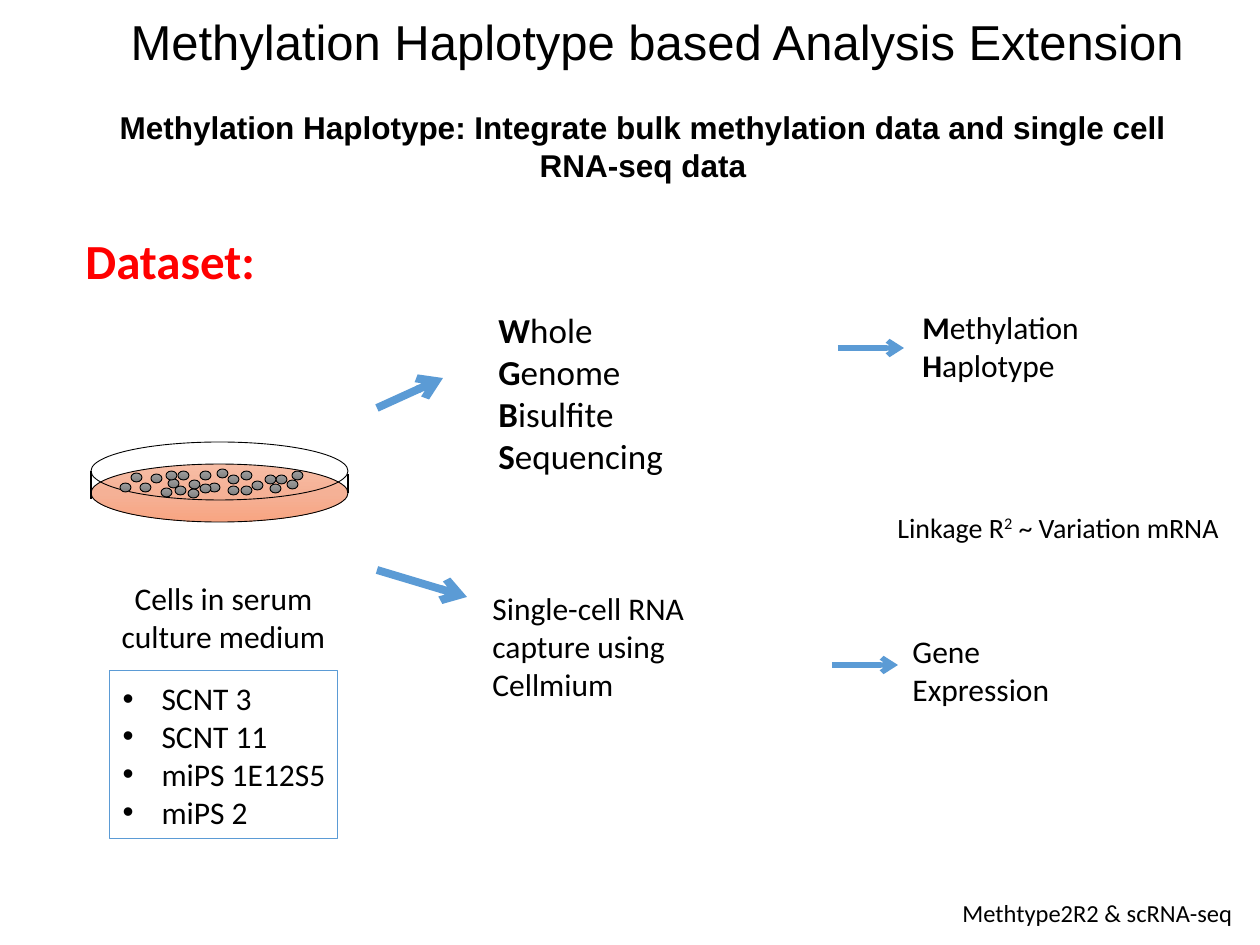
from copy import deepcopy

from lxml import etree
from pptx import Presentation
from pptx.dml.color import RGBColor
from pptx.enum.shapes import MSO_CONNECTOR, MSO_SHAPE
from pptx.enum.text import MSO_ANCHOR, MSO_AUTO_SIZE, PP_ALIGN
from pptx.oxml.ns import qn
from pptx.util import Emu, Pt

STRAIGHT = MSO_CONNECTOR.STRAIGHT
OVAL, RECTANGLE = MSO_SHAPE.OVAL, MSO_SHAPE.RECTANGLE
LEFT, CENTER = PP_ALIGN.LEFT, PP_ALIGN.CENTER
TOP = MSO_ANCHOR.TOP
GROW = MSO_AUTO_SIZE.SHAPE_TO_FIT_TEXT

EMU_PER_PX = 914400 / 126
COLORS = {"text": "000000", "accent": "5B9BD5", "heading": "FF0000"}
GRADIENTS = {
    "medium": ("F7BDA5", "F5B196", "F8A582"),
    "cell": ("9D9D9D", "909090", "7C7C7C"),
}
CELL_SIZE = (11, 9)
CELL_POSITIONS = [
    (151, 474), (178, 471), (120, 483), (140, 483), (161, 488),
    (189, 480), (168, 479), (200, 471), (228, 475), (209, 483),
    (228, 486), (217, 469), (276, 475), (265, 475), (252, 481),
    (241, 471), (287, 480), (241, 486), (188, 489), (131, 473),
    (270, 484), (166, 471), (175, 486), (200, 484), (292, 471),
]
SAMPLES = ["SCNT 3", "SCNT 11", "miPS 1E12S5", "miPS 2"]


def px(value):
    return Emu(round(value * EMU_PER_PX))


def rgb(name):
    return RGBColor.from_string(COLORS[name])


def place(shape, box):
    shape.left, shape.top, shape.width, shape.height = map(px, box)


def style_font(font, size, color="text", face="Calibri"):
    font.size, font.name = Pt(size), face
    font.color.rgb = rgb(color)


def add_outline(slide, kind, box, color="text", gradient=None):
    """Thin-lined shape, empty or with a vertical three-stop gradient."""
    shape = slide.shapes.add_shape(kind, *map(px, box))
    shape.shadow.inherit = False
    shape.line.color.rgb = rgb(color)
    shape.line.width = Pt(0.5)
    if gradient is None:
        shape.fill.background()
        return
    shape.fill.gradient()
    shape.fill.gradient_angle = 270
    stop_list = shape._element.spPr.find(qn("a:gradFill")).find(qn("a:gsLst"))
    stop_list.insert(1, deepcopy(stop_list[0]))
    stops = zip(shape.fill.gradient_stops, GRADIENTS[gradient], (0, 0.5, 1))
    for stop, color, position in stops:
        stop.color.rgb = RGBColor.from_string(color)
        stop.position = position


def add_line(slide, start, end, width, color="text", arrow=False):
    line = slide.shapes.add_connector(STRAIGHT, *map(px, start + end))
    line.line.color.rgb = rgb(color)
    line.line.width = Pt(width)
    if arrow:
        etree.SubElement(line.line._get_or_add_ln(), qn("a:tailEnd"), type="arrow")
    etree.SubElement(line._element.spPr, qn("a:effectLst"))


def add_text(slide, box, paragraphs, size, align=LEFT, wrap=True, bold=None, **font):
    """Text box; stars enclose bold letters, carets enclose superscripts."""
    frame = slide.shapes.add_textbox(*map(px, box)).text_frame
    frame.word_wrap, frame.auto_size = wrap, GROW
    for i, text in enumerate(paragraphs):
        paragraph = frame.paragraphs[0] if i == 0 else frame.add_paragraph()
        paragraph.alignment = align
        style_font(paragraph.font, size, **font)
        paragraph.font.bold = bold
        mark = "^" if "^" in text else "*"
        for j, part in enumerate(text.split(mark)):
            if not part:
                continue
            run = paragraph.add_run()
            run.text = part
            if j % 2 and mark == "*":
                run.font.bold = True
            elif j % 2:
                run.font._element.set("baseline", "30000")


def fill_title(slide, text, box):
    title = slide.shapes.title
    place(title, box)
    frame = title.text_frame
    frame.text = text
    frame.vertical_anchor, frame.auto_size = TOP, GROW
    frame.paragraphs[0].alignment = LEFT
    style_font(frame.paragraphs[0].font, 28, face="Arial")


def fill_list(slide, items, box, indent):
    body = slide.placeholders[1]
    place(body, box)
    frame = body.text_frame
    frame.text = "\n".join(items)
    frame.word_wrap, frame.auto_size = False, GROW
    for paragraph in frame.paragraphs:
        properties = paragraph._p.get_or_add_pPr()
        properties.set("marL", str(px(indent)))
        properties.set("indent", str(-px(indent)))
        etree.SubElement(properties, qn("a:buFont"), typeface="Arial")
        etree.SubElement(properties, qn("a:buChar"), char="•")
        paragraph.space_before = Pt(0)
        style_font(paragraph.font, 18)


def add_dish(slide):
    """Culture dish: medium, rim, side walls and cells."""
    add_outline(slide, OVAL, (91, 464, 257, 58), gradient="medium")
    add_outline(slide, OVAL, (91, 442, 257, 58))
    add_line(slide, (91, 471), (91, 499), 1)
    add_line(slide, (348, 474), (348, 493), 1)
    for position in CELL_POSITIONS:
        add_outline(slide, OVAL, position + CELL_SIZE, gradient="cell")


def main():
    deck = Presentation()
    deck.slide_width, deck.slide_height = px(1260), px(945)
    slide = deck.slides.add_slide(deck.slide_layouts[1])

    # Headings
    fill_title(slide, "Methylation Haplotype based Analysis Extension",
               (118, 5, 1162, 72))
    add_text(slide, (91, 102, 1104, 127),
             ["Methylation Haplotype: Integrate bulk methylation data "
              "and single cell RNA-seq data"],
             18, align=CENTER, bold=True, face="Arial")
    add_text(slide, (73, 224, 197, 72), ["Dataset:"], 28,
             wrap=False, bold=True, color="heading")

    # Samples
    add_dish(slide)
    add_text(slide, (98, 573, 251, 89), ["Cells in serum culture medium"], 18,
             align=CENTER)
    add_outline(slide, RECTANGLE, (110, 670, 228, 169), color="accent")
    fill_list(slide, SAMPLES, (110, 673, 231, 165), 39)

    # Assays and what they measure
    add_text(slide, (486, 302, 197, 183),
             ["*W*hole *G*enome *B*isulfite", "*S*equencing"], 20)
    add_text(slide, (480, 583, 223, 127),
             ["Single-cell RNA capture using Cellmium"], 18)
    add_text(slide, (910, 302, 213, 89), ["*M*ethylation *H*aplotype"], 18)
    add_text(slide, (900, 626, 197, 89), ["Gene Expression"], 18)

    # Workflow arrows
    for start, end, width in [
        ((377, 408), (443, 378), 4.5),
        ((377, 570), (467, 597), 4.5),
        ((838, 348), (904, 348), 3),
        ((832, 665), (898, 665), 3),
    ]:
        add_line(slide, start, end, width, color="accent", arrow=True)

    # Conclusion and method
    add_text(slide, (885, 504, 365, 47), ["Linkage R^2^ ~ Variation mRNA"], 16,
             wrap=False)
    add_text(slide, (948, 892, 299, 43), ["Methtype2R2 & scRNA-seq"], 14,
             align=CENTER, wrap=False)

    deck.save("out.pptx")


if __name__ == "__main__":
    main()
